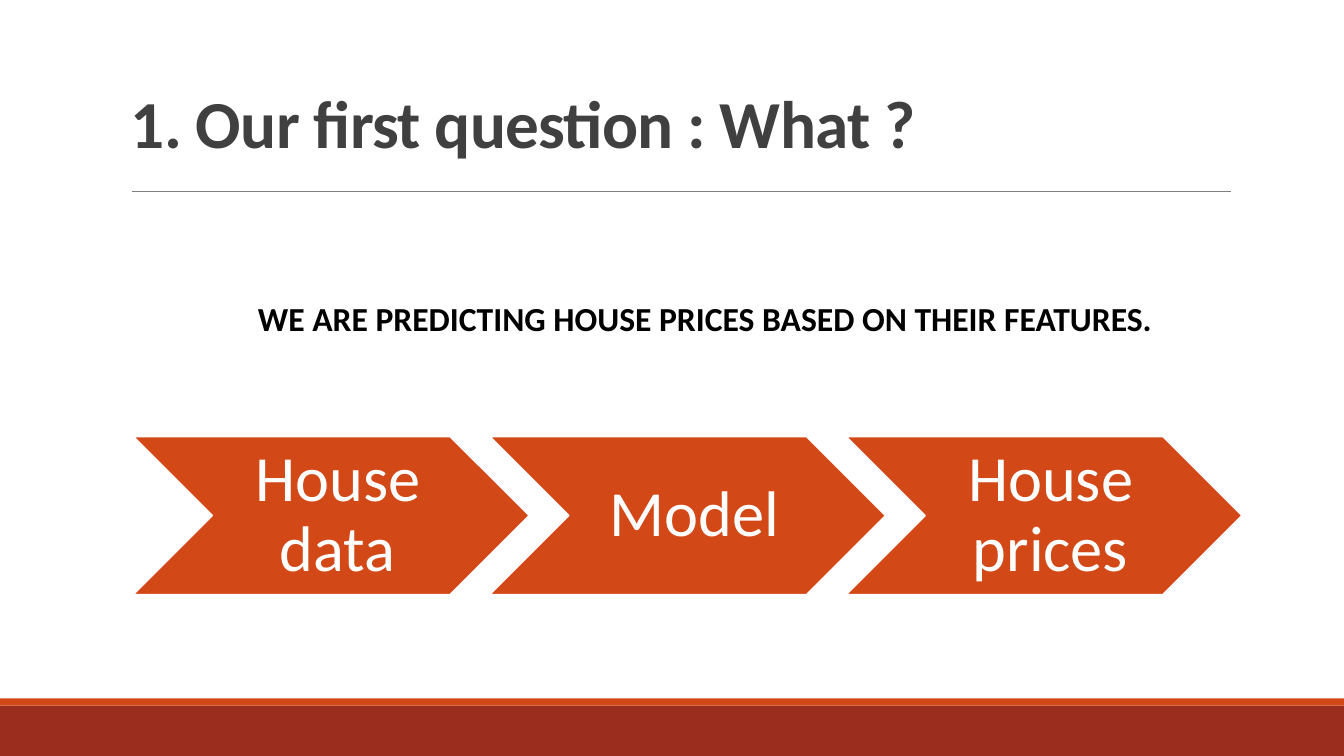
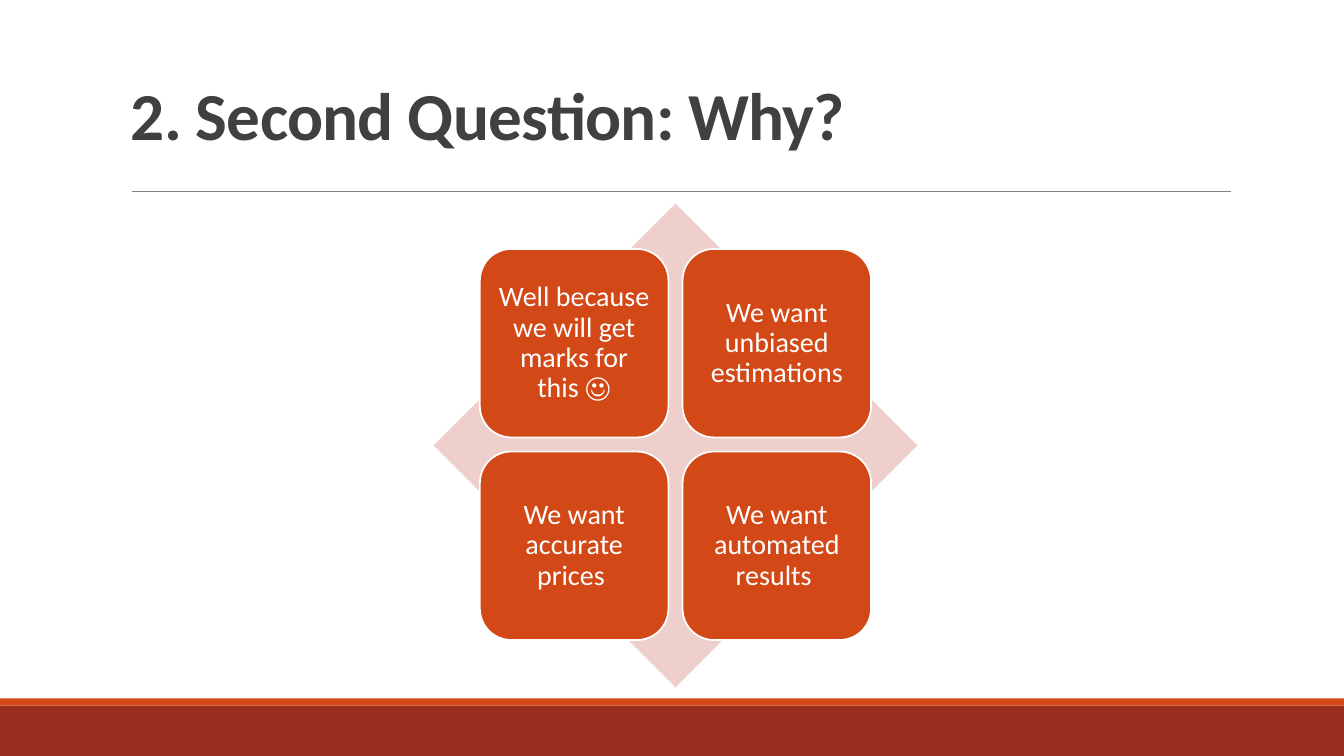
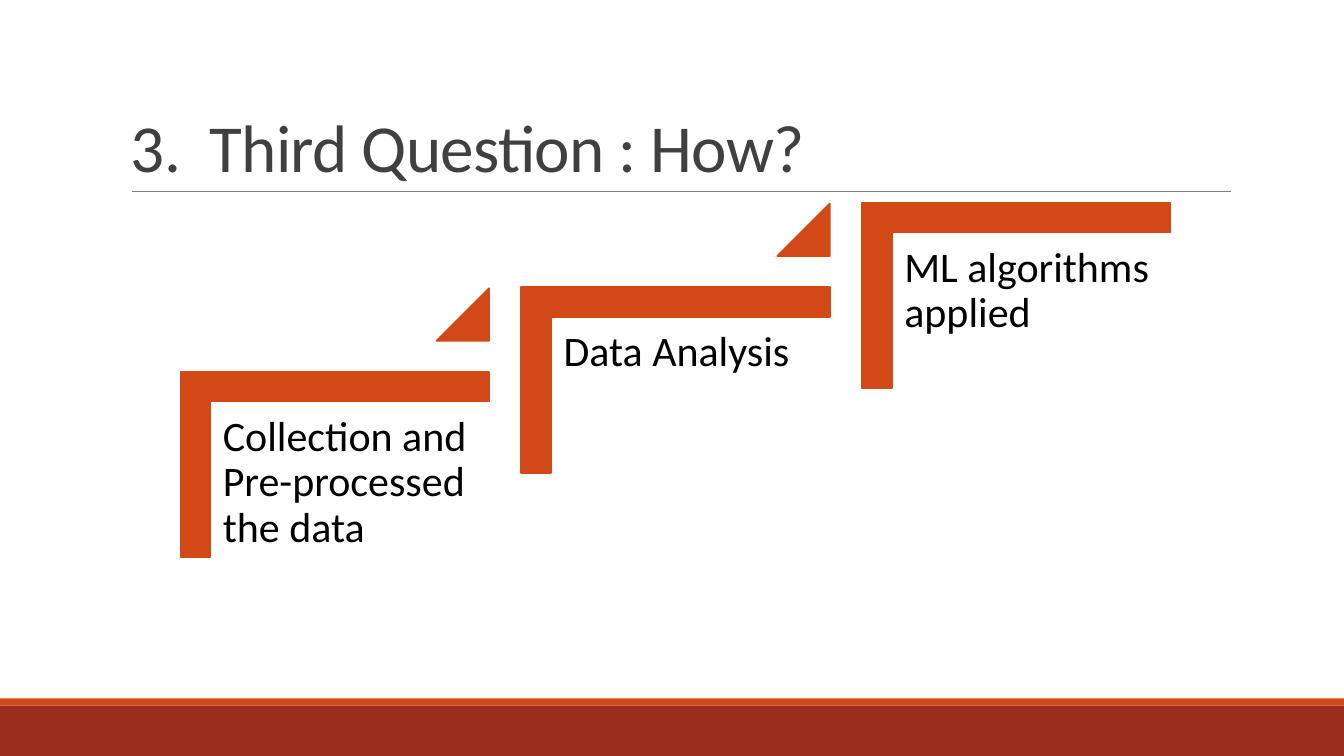
"""Build three slides on predicting house prices: what, why and how."""
from pptx import Presentation
from pptx.dml.color import RGBColor
from pptx.enum.shapes import MSO_CONNECTOR as Connector, MSO_SHAPE as Shape
from pptx.enum.text import MSO_ANCHOR as Anchor, PP_ALIGN as Align
from pptx.oxml.ns import qn
from pptx.util import Inches, Pt
from lxml.etree import SubElement

COLORS = {
    "accent": "D34817", "band": "9B2D1F", "rule": "808080", "title": "404040",
    "pale": "EFCFCC", "white": "FFFFFF", "black": "000000",
}
FONT = "Calibri"

TITLES = {
    "what": dict(text="1. Our first question : What ?", top=0.04, height=1.62, bold=True),
    "why": dict(text="2. Second Question: Why?", top=0.3, height=1.28, bold=True),
    "how": dict(text="3.  Third Question : How?", top=0.31, height=1.59, bold=False),
}
STATEMENT = "WE ARE PREDICTING HOUSE PRICES BASED ON THEIR FEATURES."
FLOW = ["House data", "Model", "House prices"]
REASONS = [
    "Well because we will get marks for this ☺",
    "We want unbiased estimations",
    "We want accurate prices ",
    "We want automated results ",
]
STEPS = ["Collection and Pre-processed the data", "Data Analysis", "ML algorithms applied"]


def color(name):
    return RGBColor.from_string(COLORS[name])


def write(box, text, size, ink, bold=False, align=Align.LEFT, anchor=Anchor.TOP,
          spacing=0.9, insets=(0.1, 0.05, 0.1, 0.05), tracking=None):
    frame = box.text_frame
    frame.word_wrap = True
    frame.vertical_anchor = anchor
    for side, inset in zip(("left", "top", "right", "bottom"), insets):
        setattr(frame, f"margin_{side}", Inches(inset))
    para = frame.paragraphs[0]
    para.alignment = align
    para.line_spacing = spacing
    span = para.add_run()
    span.text = text
    for name, value in dict(name=FONT, size=Pt(size), bold=bold).items():
        setattr(span.font, name, value)
    span.font.color.rgb = color(ink)
    if tracking is not None:
        span.font._element.set("spc", str(tracking))


def add_text(page, place, text, size, ink, **style):
    box = page.shapes.add_textbox(*map(Inches, place))
    write(box, text, size, ink, **style)


def add_block(page, kind, place, fill="accent", line=None):
    block = page.shapes.add_shape(kind, *map(Inches, place))
    block.shadow.inherit = False
    block.fill.solid()
    block.fill.fore_color.rgb = color(fill)
    if line:
        block.line.color.rgb = color(line)
        block.line.width = Pt(1.25)
    else:
        block.line.fill.background()
    return block


def add_page(deck, title):
    page = deck.slides.add_slide(deck.slide_layouts[6])
    add_block(page, Shape.RECTANGLE, (0, 7, 13.33, 0.5), "band")
    add_block(page, Shape.RECTANGLE, (0, 6.93, 13.33, 0.07))
    rule = page.shapes.add_connector(
        Connector.STRAIGHT, *map(Inches, (1.31, 1.9, 12.21, 1.9)))
    rule.line.color.rgb = color("rule")
    rule.line.width = Pt(0.5)
    SubElement(rule._element.spPr, qn("a:effectLst"))
    add_text(page, (1.2, title["top"], 11, title["height"]), title["text"], 48, "title",
             bold=title["bold"], anchor=Anchor.BOTTOM, spacing=0.85, tracking=-50)
    return page


def build_what(deck):
    page = add_page(deck, TITLES["what"])
    for index, label in enumerate(FLOW):
        place = (1.32 + index * 3.535, 4.33, 3.93, 1.57)
        chevron = add_block(page, Shape.CHEVRON, place, line="white")
        write(chevron, label, 46, "white", align=Align.CENTER, anchor=Anchor.MIDDLE,
              insets=(0.2, 0.07, 0.07, 0.07))
    add_text(page, (2.46, 2.91, 9.74, 0.5), STATEMENT, 24, "black", bold=True, spacing=1.0)


def build_why(deck):
    page = add_page(deck, TITLES["why"])
    add_block(page, Shape.DIAMOND, (4.3, 2.02, 4.8, 4.8), "pale")
    side, pitch = 1.87, 2.01
    for index, reason in enumerate(REASONS):
        row, column = divmod(index, 2)
        place = (4.76 + column * pitch, 2.47 + row * pitch, side, side)
        card = add_block(page, Shape.ROUNDED_RECTANGLE, place, line="white")
        write(card, reason, 20, "white", align=Align.CENTER, anchor=Anchor.MIDDLE,
              insets=(0.08,) * 4)


def build_how(deck):
    page = add_page(deck, TITLES["how"])
    pitch, rise = 3.38, 0.84
    for index, step in enumerate(STEPS):
        right, up = index * pitch, index * rise
        corner = add_block(page, Shape.CORNER, (2.4 + right, 3.08 - up, 1.84, 3.06),
                           line="accent")
        corner.rotation = 90
        corner.adjustments[0] = corner.adjustments[1] = 0.16
        add_text(page, (2.09 + right, 4 - up, 2.76, 2.42), step, 30, "black",
                 insets=(0.12,) * 4)
        if index < len(STEPS) - 1:
            triangle = add_block(page, Shape.ISOSCELES_TRIANGLE,
                                 (4.33 + right, 2.86 - up, 0.52, 0.52), line="accent")
            triangle.adjustments[0] = 1


def main():
    deck = Presentation()
    deck.slide_width, deck.slide_height = Inches(13.33), Inches(7.5)
    for build in (build_what, build_why, build_how):
        build(deck)
    deck.save("out.pptx")


if __name__ == "__main__":
    main()
